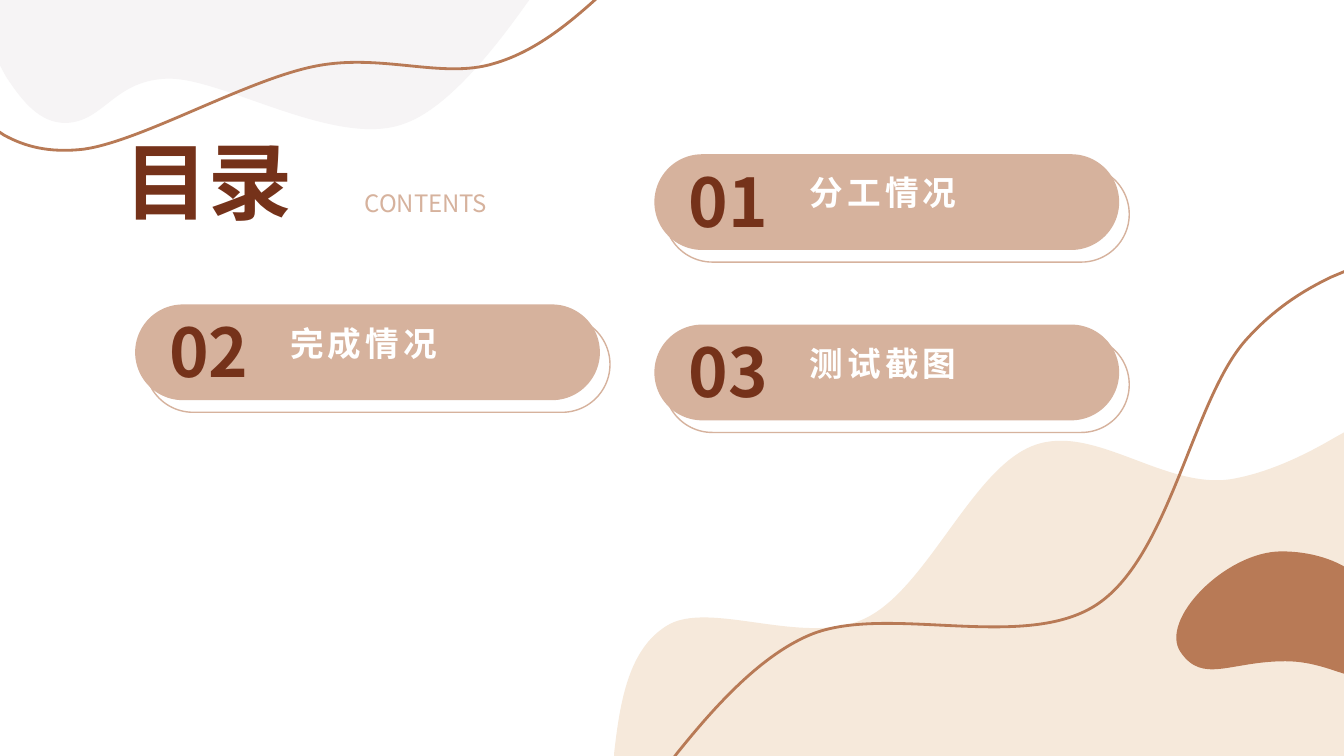
"""Build a contents slide with wavy decorations and three numbered section cards."""
import pptx
import pptx.dml.color
import pptx.enum.shapes
import pptx.enum.text
import pptx.oxml.ns
import pptx.util
from lxml import etree
from pptx.util import Inches

FONT = "Noto Sans CJK SC"
COLORS = {
    "cream": "F6E9DB",
    "mist": "F6F4F5",
    "clay": "B87A56",
    "sand": "D6B29D",
    "brown": "75321A",
    "white": "FFFFFF",
}
CARD_SIZE = (4.61, 0.95)
CARDS = [
    ("02", "完成情况", 1.34, 3.02),
    ("01", "分工情况", 6.49, 1.53),
    ("03", "测试截图", 6.49, 3.22),
]
CREAM_HILL = [
    (13.33, 4.29), (13.33, 7.5), (6.09, 7.5), (6.09, 7.48),
    (6.15, 6.94, 6.24, 6.44, 6.61, 6.21), (7.03, 5.94, 7.99, 6.43, 8.59, 6.13),
    (9.2, 5.83, 9.64, 4.65, 10.25, 4.42), (10.85, 4.19, 11.56, 4.87, 12.23, 4.75),
    (12.56, 4.69, 12.9, 4.54, 13.24, 4.34),
]
MIST_CLOUD = [
    (0, 0), (5.25, 0), (5.22, 0.04),
    (4.88, 0.52, 4.42, 1.09, 4, 1.23), (3.34, 1.47, 2.24, 0.79, 1.69, 0.78),
    (1.13, 0.78, 1.04, 1.21, 0.65, 1.22), (0.4, 1.22, 0.23, 1.02, 0.06, 0.76),
    (0, 0.65),
]
TOP_WAVE = [
    (-0.05, -0.06), (5.96, -0.06), (5.9, 0),
    (5.6, 0.27, 5.28, 0.52, 4.9, 0.63), (4.38, 0.79, 3.78, 0.52, 3.11, 0.66),
    (2.43, 0.8, 1.4, 1.4, 0.83, 1.48), (0.48, 1.52, 0.24, 1.45, 0.04, 1.34),
    (-0.05, 1.28),
]
BOTTOM_WAVE = [
    (13.39, 2.67), (13.39, 7.56), (6.65, 7.56), (6.71, 7.48),
    (7.04, 7.07, 7.51, 6.52, 8.03, 6.3), (8.79, 5.98, 10.17, 6.48, 10.89, 5.99),
    (11.61, 5.5, 11.83, 3.96, 12.36, 3.37), (12.63, 3.07, 12.91, 2.89, 13.2, 2.75),
]
CLAY_PEBBLE = [
    (11.71, 6.47),
    (11.49, 6.15, 12.16, 5.47, 12.71, 5.47), (13.27, 5.47, 13.83, 5.78, 13.71, 6.47),
    (13.59, 6.97, 13.31, 6.56, 12.75, 6.56), (12.2, 6.56, 11.93, 6.79, 11.71, 6.47),
]
WAVES = [
    (CREAM_HILL, (6.09, 4.29, 7.25, 3.21), {"fill": "cream"}),
    (MIST_CLOUD, (0, 0, 5.25, 1.28), {"fill": "mist"}),
    (TOP_WAVE, (-0.05, -0.06, 6.01, 1.55), {"line": "clay", "width": 2}),
    (BOTTOM_WAVE, (6.65, 2.67, 6.74, 4.89), {"line": "clay", "width": 2}),
    (CLAY_PEBBLE, (11.67, 5.47, 2.06, 1.25), {"fill": "clay"}),
]


def rgb(color):
    return pptx.dml.color.RGBColor.from_string(COLORS[color])


def add_node(parent, tag, **attributes):
    return etree.SubElement(parent, pptx.oxml.ns.qn(tag), **attributes)


def paint(shape, fill=None, line=None, width=1):
    shape.shadow.inherit = False
    if fill:
        shape.fill.solid()
        shape.fill.fore_color.rgb = rgb(fill)
    else:
        shape.fill.background()
    if line:
        shape.line.color.rgb = rgb(line)
        shape.line.width = pptx.util.Pt(width)
    else:
        shape.line.fill.background()


def add_wave(slide, outline, box, style):
    start, *ends = [tuple(map(Inches, segment[-2:])) for segment in outline]
    builder = slide.shapes.build_freeform(*start)
    builder.add_line_segments(ends, close=True)
    wave = builder.convert_to_shape()
    left, top, width, height = map(Inches, box)
    wave.left, wave.top, wave.width, wave.height = left, top, width, height
    contour = next(wave._element.iter(pptx.oxml.ns.qn("a:path")))
    contour.clear()
    contour.set("w", str(width))
    contour.set("h", str(height))
    for index, segment in enumerate(outline):
        tag = "a:cubicBezTo" if len(segment) == 6 else "a:lnTo" if index else "a:moveTo"
        step = add_node(contour, tag)
        for x, y in zip(segment[::2], segment[1::2]):
            add_node(step, "a:pt", x=str(Inches(x) - left), y=str(Inches(y) - top))
    add_node(contour, "a:close")
    paint(wave, **style)


def add_label(slide, text, box, size, color, bold=True, align=None, spacing=None):
    frame = slide.shapes.add_textbox(*map(Inches, box)).text_frame
    frame.word_wrap = True
    frame.auto_size = pptx.enum.text.MSO_AUTO_SIZE.SHAPE_TO_FIT_TEXT
    paragraph = frame.paragraphs[0]
    paragraph.alignment = align
    run = paragraph.add_run()
    run.text = text
    for name, value in {"name": FONT, "size": pptx.util.Pt(size), "bold": bold}.items():
        setattr(run.font, name, value)
    run.font.color.rgb = rgb(color)
    properties = run.font._element
    add_node(properties, "a:ea", typeface=FONT)
    if spacing:
        properties.set("spc", str(spacing * 100))


def add_card(slide, number, title, left, top):
    pill = pptx.enum.shapes.MSO_SHAPE.ROUNDED_RECTANGLE
    for dx, dy, style in ((0.1, 0.12, {"line": "sand"}), (0, 0, {"fill": "sand"})):
        card = slide.shapes.add_shape(pill, *map(Inches, (left + dx, top + dy, *CARD_SIZE)))
        card.adjustments[0] = 0.5
        paint(card, **style)
    add_label(slide, title, (left + 1.44, top + 0.13, 2.98, 0.5), 24, "white", spacing=3)
    add_label(slide, number, (left + 0.24, top + 0.01, 1.36, 0.91), 48, "brown")


def main():
    deck = pptx.Presentation()
    deck.slide_width, deck.slide_height = Inches(13.33), Inches(7.5)
    slide = deck.slides.add_slide(deck.slide_layouts[6])
    for outline, box, style in WAVES:
        add_wave(slide, outline, box, style)
    justify = pptx.enum.text.PP_ALIGN.JUSTIFY
    add_label(slide, "目录", (1.14, 1.24, 2.24, 1.11), 60, "brown", align=justify)
    add_label(slide, "CONTENTS", (3.52, 1.82, 2.24, 0.39), 17.1, "sand", bold=False, align=justify)
    for card in CARDS:
        add_card(slide, *card)
    deck.save("out.pptx")


if __name__ == "__main__":
    main()
